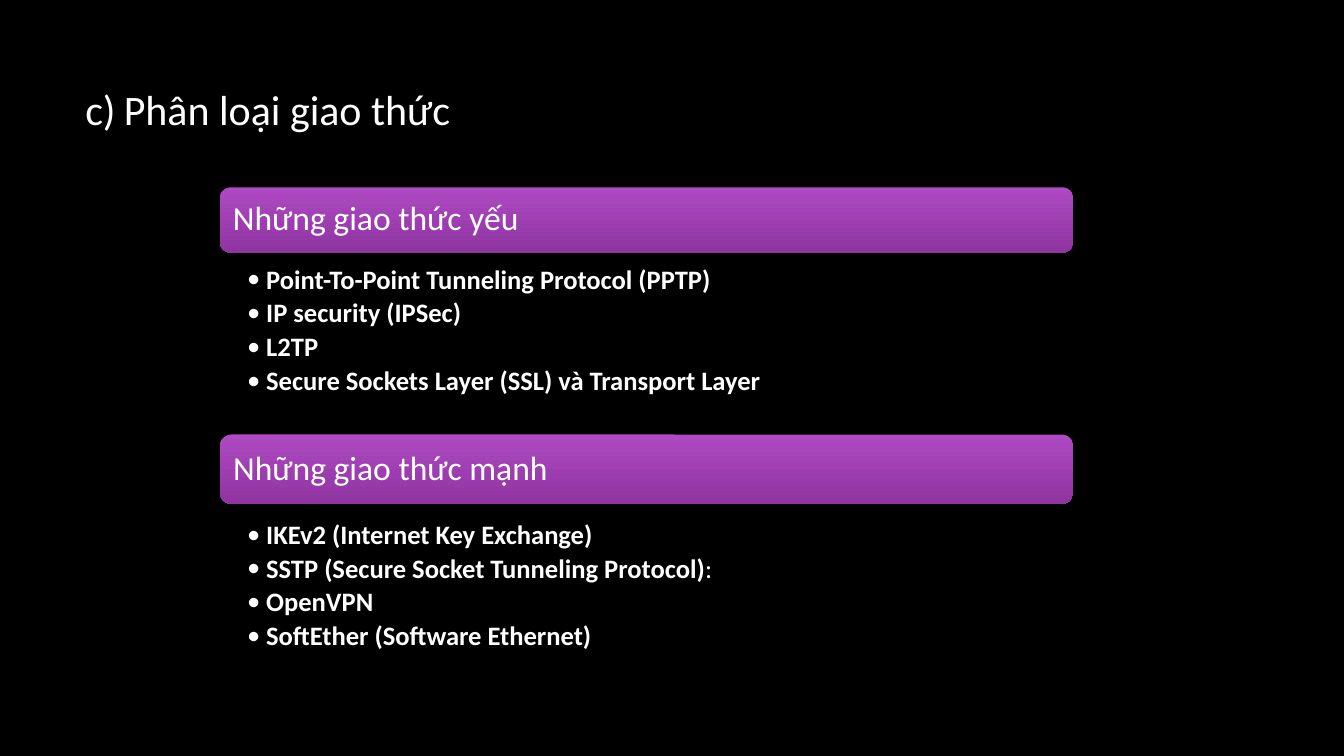
from lxml import etree
from pptx import Presentation
from pptx.dml.color import RGBColor
from pptx.enum.shapes import MSO_SHAPE as Preset
from pptx.enum.text import MSO_ANCHOR as Anchor, PP_ALIGN as Align
from pptx.oxml.ns import qn
from pptx.util import Cm, Pt


def rgb(code):
    return RGBColor.from_string(code)


def write(paragraph, text, size, bold=False, color="FFFFFF", font="Calibri"):
    run = paragraph.add_run()
    run.text = text
    run.font.name, run.font.size, run.font.bold = font, Pt(size), bold
    run.font.color.rgb = rgb(color)


def add_marker(paragraph, indent, tag, color="FFFFFF", **attributes):
    """Hanging indent with a bullet or an automatic number."""
    props = paragraph._p.get_or_add_pPr()
    props.set("marL", str(Cm(indent)))
    props.set("indent", str(-Cm(indent)))
    marker_color = etree.SubElement(props, qn("a:buClr"))
    etree.SubElement(marker_color, qn("a:srgbClr"), val=color)
    etree.SubElement(props, qn("a:buFont"), typeface="Calibri")
    etree.SubElement(props, qn("a:" + tag), **attributes)


class ProtocolSlide:
    left, width = 5.54, 21.51
    gradient = ("AE4AC2", "8F34A1")

    def __init__(self, deck, background):
        self.slide = deck.slides.add_slide(deck.slide_layouts[6])
        fill = self.slide.background.fill
        fill.solid()
        fill.fore_color.rgb = rgb(background)

    def text_frame(self, left, top, width, height, margins):
        box = self.slide.shapes.add_textbox(Cm(left), Cm(top), Cm(width), Cm(height))
        frame = box.text_frame
        frame.word_wrap = True
        (frame.margin_left, frame.margin_top,
         frame.margin_right, frame.margin_bottom) = map(Cm, margins)
        return frame

    def title(self, text, number):
        frame = self.text_frame(1.9, 1.98, 30.07, 1.8, (0.25, 0.13, 0.25, 0.13))
        heading = frame.paragraphs[0]
        add_marker(heading, 0.97, "buAutoNum", type="alphaLcParenR", startAt=str(number))
        write(heading, text, 30)

    def banner(self, text, top, height):
        bar = self.slide.shapes.add_shape(
            Preset.ROUNDED_RECTANGLE, Cm(self.left), Cm(top), Cm(self.width), Cm(height))
        bar.shadow.inherit = False
        bar.line.fill.background()
        bar.fill.gradient()
        bar.fill.gradient_angle = 270
        for stop, color in zip(bar.fill.gradient_stops, self.gradient):
            stop.color.rgb = rgb(color)
        frame = bar.text_frame
        frame.vertical_anchor = Anchor.MIDDLE
        frame.margin_left = frame.margin_right = Cm(0.25)
        label = frame.paragraphs[0]
        label.alignment = Align.LEFT
        label.line_spacing = 0.9
        write(label, text, 24)

    def bullets(self, items, top, height):
        frame = self.text_frame(self.left, top, self.width, height, (0.69, 0.08, 0.48, 0.08))
        for index, item in enumerate(items):
            entry = frame.add_paragraph() if index else frame.paragraphs[0]
            entry.level = 1
            entry.line_spacing = 0.9
            entry.space_after = Pt(3.6)
            add_marker(entry, 0.48, "buChar", char="•")
            name, colon, _ = item.partition(":")
            write(entry, name, 19, bold=True)
            if colon:
                write(entry, colon, 19)


def main():
    deck = Presentation()
    deck.slide_width, deck.slide_height = Cm(33.87), Cm(19.05)
    page = ProtocolSlide(deck, "000000")

    # Heading
    page.title("Phân loại giao thức", number=3)

    # Weak protocols
    page.banner("Những giao thức yếu", 4.72, 1.65)
    page.bullets(["Point-To-Point Tunneling Protocol (PPTP)",
                  "IP security (IPSec)",
                  "L2TP",
                  "Secure Sockets Layer (SSL) và Transport Layer"], 6.63, 4.67)

    # Strong protocols
    page.banner("Những giao thức mạnh", 10.95, 1.75)
    page.bullets(["IKEv2 (Internet Key Exchange)",
                  "SSTP (Secure Socket Tunneling Protocol):",
                  "OpenVPN",
                  "SoftEther (Software Ethernet)"], 13.06, 4.34)

    deck.save("out.pptx")


if __name__ == "__main__":
    main()
